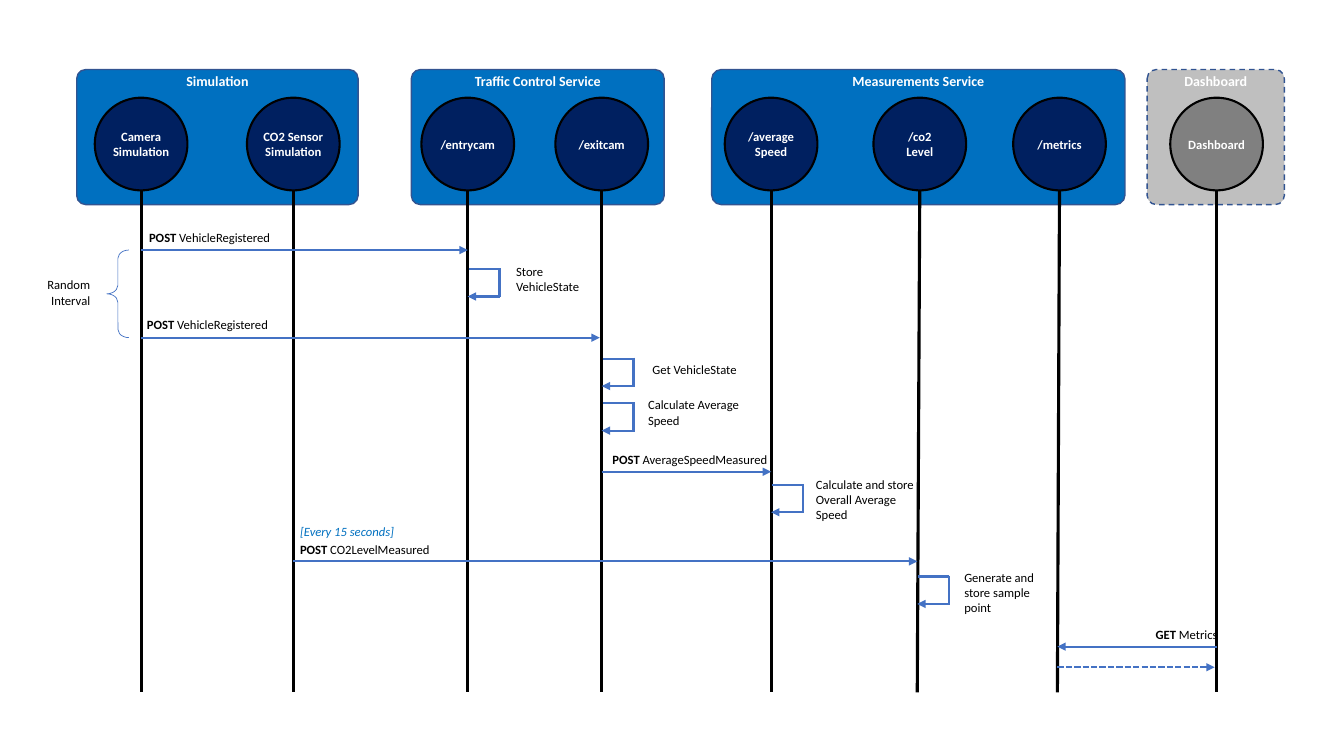
"""Build a sequence diagram of the traffic services on one slide."""
from dataclasses import dataclass
from typing import Any, Optional

from lxml.etree import SubElement
from pptx import Presentation
from pptx.dml.color import RGBColor
from pptx.enum.dml import MSO_LINE
from pptx.enum.shapes import MSO_CONNECTOR, MSO_SHAPE
from pptx.enum.text import MSO_ANCHOR, MSO_AUTO_SIZE, PP_ALIGN
from pptx.oxml.ns import qn
from pptx.util import Pt


@dataclass(frozen=True)
class Theme:
    font: str = "Calibri"
    title_size: float = 10
    text_size: float = 9
    white: str = "FFFFFF"
    black: str = "000000"
    blue: str = "0070C0"
    navy: str = "002060"
    silver: str = "BFBFBF"
    gray: str = "808080"
    edge: str = "325491"
    arrow: str = "4472C4"


T = Theme()


@dataclass(frozen=True)
class Panel:
    title: str
    x: float
    w: float
    fill: str = T.blue
    dash: Optional[MSO_LINE] = None
    adj: float = 0.067


@dataclass(frozen=True)
class Actor:
    name: str
    x: float
    foot: float
    fill: str = T.navy


@dataclass(frozen=True)
class Message:
    start: float
    end: float
    y: float
    dash: Optional[MSO_LINE] = None


@dataclass(frozen=True)
class Label:
    text: str
    x: float
    y: float
    w: float
    verb: str = ""
    align: PP_ALIGN = PP_ALIGN.LEFT
    color: str = T.black
    italic: bool = False


CAMERA, SENSOR, ENTRY, EXIT = 100.8, 209.5, 334.1, 429.8
AVERAGE, CO2, METRICS, DASHBOARD = 550.8, 655.2, 755.3, 869
PANEL_TOP, PANEL_H = 49.7, 96.5
CIRCLE_TOP, CIRCLE_D = 69.8, 66.2
LIFELINE_END = 494.6
LOOP_W, LOOP_H = 22.7, 19.6
FIRST_POST, SECOND_POST = 178.6, 241.2

PANELS = [
    Panel("Dashboard", 819.4, 98, T.silver, MSO_LINE.DASH),
    Panel("Simulation", 54.8, 201),
    Panel("Measurements Service", 508.4, 295.2, adj=0.071),
    Panel("Traffic Control Service", 293.8, 180.6),
]
ACTORS = [
    Actor("Camera\nSimulation", CAMERA, CAMERA),
    Actor("CO2 Sensor\nSimulation", SENSOR, SENSOR),
    Actor("/entrycam", ENTRY, ENTRY),
    Actor("/exitcam", EXIT, EXIT),
    Actor("/average\nSpeed", AVERAGE, AVERAGE),
    Actor("/co2\nLevel", 657, CO2),
    Actor("/metrics", 756.8, METRICS),
    Actor("Dashboard", DASHBOARD, DASHBOARD, T.gray),
]
MESSAGES = [
    Message(CAMERA, ENTRY, FIRST_POST),
    Message(CAMERA, EXIT - 1.4, SECOND_POST),
    Message(EXIT, AVERAGE, 337),
    Message(SENSOR, CO2, 401),
    Message(DASHBOARD, METRICS, 461.9),
    Message(METRICS, DASHBOARD - 1.4, 476.6, MSO_LINE.SQUARE_DOT),
]
LOOPS = [(ENTRY, 192.2), (EXIT, 256.2), (EXIT, 288), (AVERAGE, 346.3), (CO2, 411.8)]
LABELS = [
    Label("VehicleRegistered", 99.4, 160.6, 103, "POST "),
    Label("VehicleRegistered", 97.9, 222.8, 103, "POST "),
    Label("Store\nVehicleState", 361.6, 185, 60.5),
    Label("Get VehicleState", 457.9, 255, 76.3, align=PP_ALIGN.CENTER),
    Label("Calculate Average\nSpeed", 455.8, 280.3, 82.8),
    Label("AverageSpeedMeasured", 430.4, 319.3, 126.7, "POST "),
    Label("Calculate and store\nOverall Average\nSpeed", 575.7, 337.2, 85.7),
    Label("[Every 15 seconds]", 207.2, 370.8, 82, color=T.blue, italic=True),
    Label("CO2LevelMeasured", 207.2, 383.3, 108.7, "POST "),
    Label("Generate and\nstore sample\npoint", 681.7, 403.2, 67),
    Label("Metrics", 818.4, 444.5, 59, "GET "),
    Label("Random\nInterval", 26.1, 194.6, 45.4, align=PP_ALIGN.RIGHT),
]


def apply(target: Any, values: dict[str, Any]) -> None:
    """Set each named attribute of the target."""
    for name, value in values.items():
        setattr(target, name, value)


def write(tf: Any, text: str, fmt: dict[str, Any], color: str,
          align: PP_ALIGN, verb: str = "") -> None:
    """Write one paragraph per line, led by an optional bold verb."""
    for i, line in enumerate(text.split("\n")):
        p = tf.paragraphs[0] if i == 0 else tf.add_paragraph()
        p.alignment = align
        parts = [(verb, {"bold": True})] if verb and i == 0 else []
        for words, extra in parts + [(line, {})]:
            r = p.add_run()
            r.text = words
            apply(r.font, {"name": T.font, **fmt, **extra})
            r.font.color.rgb = RGBColor.from_string(color)


def add_line(shapes: Any, x1: float, y1: float, x2: float, y2: float, color: str = T.arrow,
             width: float = 1.5, head: bool = False, dash: Optional[MSO_LINE] = None) -> None:
    """Draw a straight line, with an arrowhead at its end if wanted."""
    sp = shapes.add_connector(MSO_CONNECTOR.STRAIGHT, Pt(x1), Pt(y1), Pt(x2), Pt(y2))
    sp.line.color.rgb = RGBColor.from_string(color)
    apply(sp.line, {"width": Pt(width), "dash_style": dash})
    if head:
        SubElement(sp.line._get_or_add_ln(), qn("a:tailEnd"), type="triangle")
    SubElement(sp._element.spPr, qn("a:effectLst"))


def add_box(shapes: Any, kind: MSO_SHAPE, x: float, y: float, w: float, h: float,
            fill: Optional[str], edge: str, width: float) -> Any:
    """Draw a preset shape without shadow or text margins."""
    sp = shapes.add_shape(kind, Pt(x), Pt(y), Pt(w), Pt(h))
    sp.shadow.inherit = False
    if fill:
        sp.fill.solid()
        sp.fill.fore_color.rgb = RGBColor.from_string(fill)
    else:
        sp.fill.background()
    sp.line.color.rgb = RGBColor.from_string(edge)
    sp.line.width = Pt(width)
    apply(sp.text_frame, {f"margin_{side}": 0 for side in ("left", "top", "right", "bottom")})
    return sp


def add_panel(shapes: Any, panel: Panel) -> None:
    """Draw a titled service panel."""
    sp = add_box(shapes, MSO_SHAPE.ROUNDED_RECTANGLE, panel.x, PANEL_TOP, panel.w, PANEL_H,
                 panel.fill, T.edge, 1)
    sp.adjustments[0] = panel.adj
    sp.line.dash_style = panel.dash
    sp.text_frame.vertical_anchor = MSO_ANCHOR.TOP
    write(sp.text_frame, panel.title, {"size": Pt(T.title_size), "bold": True}, T.white,
          PP_ALIGN.CENTER)


def add_actor(shapes: Any, actor: Actor) -> None:
    """Draw an actor circle and its lifeline."""
    sp = add_box(shapes, MSO_SHAPE.OVAL, actor.x - CIRCLE_D / 2, CIRCLE_TOP, CIRCLE_D, CIRCLE_D,
                 actor.fill, T.black, 1.5)
    sp.text_frame.vertical_anchor = MSO_ANCHOR.MIDDLE
    write(sp.text_frame, actor.name, {"size": Pt(T.text_size), "bold": True}, T.white,
          PP_ALIGN.CENTER)
    add_line(shapes, actor.x, CIRCLE_TOP + CIRCLE_D, actor.foot, LIFELINE_END, T.black, 2.25)


def add_loop(shapes: Any, x: float, y: float) -> None:
    """Draw a grouped call from a lifeline back to itself."""
    loop = shapes.add_group_shape().shapes
    right, bottom = x + LOOP_W, y + LOOP_H
    add_line(loop, x + 0.7, y, right, y)
    add_line(loop, right, bottom, x, bottom, head=True)
    add_line(loop, right, y - 0.7, right, bottom + 0.7)


def add_label(shapes: Any, label: Label) -> None:
    """Place a caption whose height follows its line count."""
    h = 7.2 + 11 * len(label.text.split("\n"))
    tf = shapes.add_textbox(Pt(label.x), Pt(label.y), Pt(label.w), Pt(h)).text_frame
    apply(tf, {"word_wrap": False, "auto_size": MSO_AUTO_SIZE.SHAPE_TO_FIT_TEXT})
    write(tf, label.text, {"size": Pt(T.text_size), "italic": label.italic}, label.color,
          label.align, label.verb)


def main() -> None:
    """Build and save the slide."""
    prs = Presentation()
    apply(prs, {"slide_width": Pt(960), "slide_height": Pt(540)})
    s = prs.slides.add_slide(prs.slide_layouts[6])
    for panel in PANELS:
        add_panel(s.shapes, panel)
    for actor in ACTORS:
        add_actor(s.shapes, actor)
    for m in MESSAGES:
        add_line(s.shapes, m.start, m.y, m.end, m.y, head=True, dash=m.dash)
    for x, y in LOOPS:
        add_loop(s.shapes, x, y)
    brace = add_box(s.shapes, MSO_SHAPE.LEFT_BRACE, 76.3, FIRST_POST, 15.8,
                    SECOND_POST - FIRST_POST, None, T.arrow, 0.5)
    brace.adjustments[0] = 0.383
    for label in LABELS:
        add_label(s.shapes, label)
    prs.save("out.pptx")


if __name__ == "__main__":
    main()
